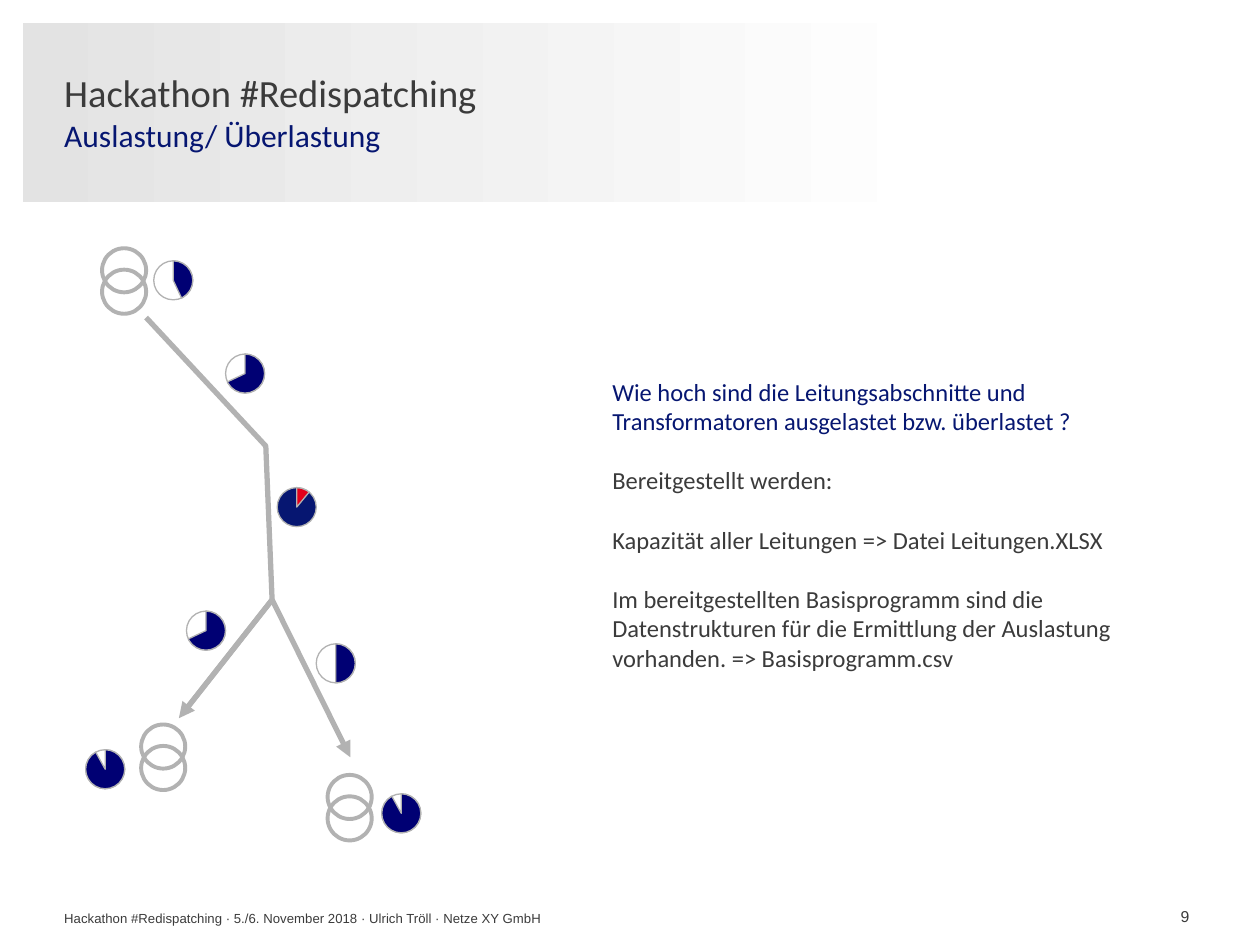
from lxml import etree
from pptx import Presentation, util as u
from pptx.dml.color import RGBColor
from pptx.enum import shapes, text
from pptx.oxml.ns import qn

GREY, DARK, BLUE, NAVY, RED = "B2B2B2", "3B3B3B", "061671", "000073", "E2001A"
TITLE = [("Hackathon #Redispatching", 22, DARK), ("Auslastung/ Überlastung", 18, BLUE)]
BODY = [
    ("Wie hoch sind die Leitungsabschnitte und Transformatoren ausgelastet bzw. überlastet ?", BLUE),
    ("Bereitgestellt werden:", DARK),
    ("Kapazität aller Leitungen => Datei Leitungen.XLSX", DARK),
    ("Im bereitgestellten Basisprogramm sind die Datenstrukturen für die Ermittlung "
     "der Auslastung vorhanden. => Basisprogramm.csv", DARK),
]
FOOTER = "Hackathon #Redispatching · 5./6. November 2018 · Ulrich Tröll · Netze XY GmbH"
JUNCTION = (2.16, 4.76)
MAIN_LINE = [(1.16, 2.52), (2.11, 3.54), JUNCTION, (1.5, 5.6)]
ARROW_ENDS = [(1.42, 5.7), (2.78, 6.01)]
TRANSFORMERS = [(0.81, 1.97), (1.12, 5.75), (2.6, 6.15)]
RING, RING_STEP, DIAL = 0.35, 0.17, 0.31
DIALS = [
    (2.51, 5.11, 0.5, NAVY, None), (1.48, 4.85, 0.68, NAVY, None),
    (3.03, 6.3, 0.92, NAVY, None), (1.22, 2.07, 0.43, NAVY, None),
    (1.79, 2.81, 0.68, NAVY, None), (2.2, 3.87, 0.11, RED, BLUE),
    (0.68, 5.95, 0.92, NAVY, None),
]


def rgb(value):
    """Turn a hex string into a colour."""
    return RGBColor.from_string(value)


def style(shape, fill, line, width):
    """Set fill and outline and drop the shadow."""
    shape.shadow.inherit = False
    if fill:
        shape.fill.solid()
        shape.fill.fore_color.rgb = rgb(fill)
    else:
        shape.fill.background()
    shape.line.color.rgb = rgb(line)
    shape.line.width = u.Pt(width)


def add_preset(slide, kind, left, top, size, fill, width):
    """Add a square preset shape with a grey outline."""
    shape = slide.shapes.add_shape(kind, *map(u.Inches, (left, top, size, size)))
    style(shape, fill, GREY, width)
    return shape


def prepare(box, anchor):
    """Give a text shape no margins, wrapping and an anchor."""
    frame = box.text_frame
    frame.margin_left = frame.margin_right = frame.margin_top = frame.margin_bottom = 0
    frame.word_wrap = True
    frame.auto_size = text.MSO_AUTO_SIZE.NONE
    frame.vertical_anchor = anchor
    return frame


def add_span(para, words, size, color, font="Calibri"):
    """Append a formatted run."""
    span = para.add_run()
    span.text = words
    span.font.size = u.Pt(size)
    span.font.name = font
    span.font.color.rgb = rgb(color)


def add_text(slide, place, anchor):
    """Add a text box and return its frame."""
    return prepare(slide.shapes.add_textbox(*map(u.Inches, place)), anchor)


def add_band(slide):
    """Place the gradient band behind the title."""
    band = slide.shapes.add_shape(
        shapes.MSO_SHAPE.RECTANGLE, *map(u.Inches, (0.18, 0.18, 7.3, 1.42)))
    band.shadow.inherit = False
    band.line.fill.background()
    band.fill.gradient()
    band.fill.gradient_angle = 0
    for stop, color in zip(band.fill.gradient_stops, ("E3E3E3", "FFFFFF")):
        stop.color.rgb = rgb(color)
    slide.shapes._spTree.insert(2, band._element)


def add_texts(slide):
    """Write the title, slide number, footer and body."""
    title = slide.shapes.title
    title.left, title.top, title.width, title.height = map(u.Inches, (0.51, 0.55, 6.97, 0.67))
    para = prepare(title, text.MSO_ANCHOR.MIDDLE).paragraphs[0]
    para.alignment = text.PP_ALIGN.LEFT
    for index, (words, size, color) in enumerate(TITLE):
        if index:
            para.add_line_break()
        add_span(para, words, size, color)

    number = add_text(slide, (9.13, 7.15, 0.31, 0.2), text.MSO_ANCHOR.BOTTOM).paragraphs[0]
    number.alignment = text.PP_ALIGN.RIGHT
    add_span(number, "9", 9, DARK, "Arial")
    footer = add_text(slide, (0.51, 7.22, 8.27, 0.13), text.MSO_ANCHOR.BOTTOM)
    add_span(footer.paragraphs[0], FOOTER, 7.5, DARK, "Arial")

    body = add_text(slide, (4.86, 2.99, 4.37, 2.59), text.MSO_ANCHOR.TOP)
    for index, (words, color) in enumerate(BODY):
        para = body.add_paragraph() if index else body.paragraphs[0]
        para.space_after = u.Pt(17)
        add_span(para, words, 14, color)


def add_grid(slide):
    """Draw the lines, transformers and load dials."""
    points = [(u.Inches(x), u.Inches(y)) for x, y in MAIN_LINE]
    builder = slide.shapes.build_freeform(*points[0])
    builder.add_line_segments(points[1:], close=False)
    style(builder.convert_to_shape(), None, GREY, 3)

    for left, top in TRANSFORMERS:
        for step in range(2):
            add_preset(slide, shapes.MSO_SHAPE.OVAL, left, top + step * RING_STEP, RING, None, 2.25)

    for left, top, share, color, back in DIALS:
        add_preset(slide, shapes.MSO_SHAPE.OVAL, left, top, DIAL, back, 0.75)
        sector = add_preset(slide, shapes.MSO_SHAPE.BLOCK_ARC, left, top, DIAL, color, 0.75)
        for index, angle in enumerate((270, (270 + 360 * share) % 360)):
            sector.adjustments[index] = angle * 0.6
        sector.adjustments[2] = 0.5

    for end in ARROW_ENDS:
        arrow = slide.shapes.add_connector(
            shapes.MSO_CONNECTOR.STRAIGHT, *map(u.Inches, JUNCTION + end))
        arrow.line.color.rgb = rgb(GREY)
        arrow.line.width = u.Pt(3)
        etree.SubElement(arrow.line._get_or_add_ln(), qn("a:tailEnd"), type="triangle")
        etree.SubElement(arrow._element.spPr, qn("a:effectLst"))


def main():
    """Build and save the slide."""
    deck = Presentation()
    deck.slide_width, deck.slide_height = u.Inches(10), u.Inches(7.5)
    slide = deck.slides.add_slide(deck.slide_layouts[5])
    add_band(slide)
    add_texts(slide)
    add_grid(slide)
    deck.save("out.pptx")


if __name__ == "__main__":
    main()
